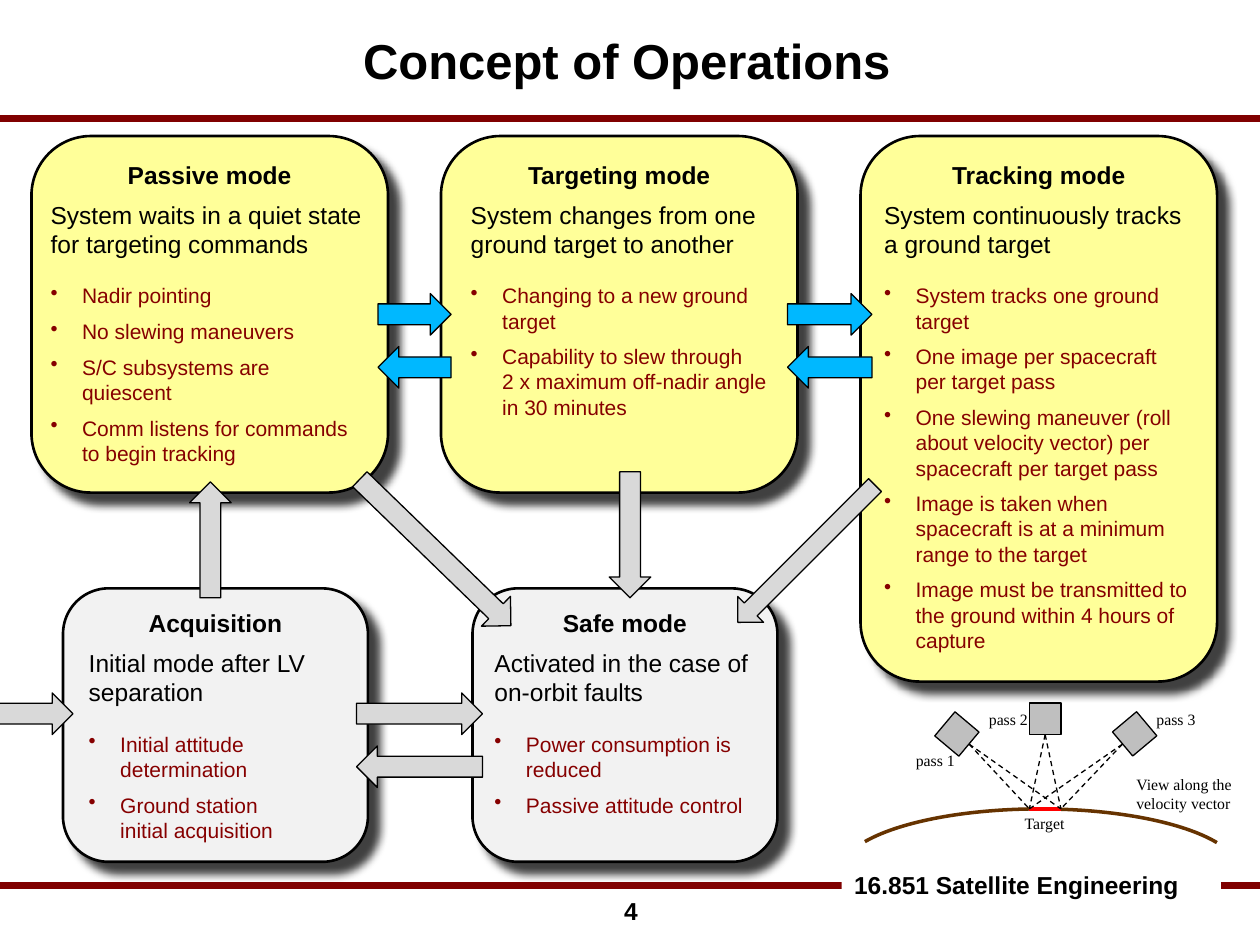
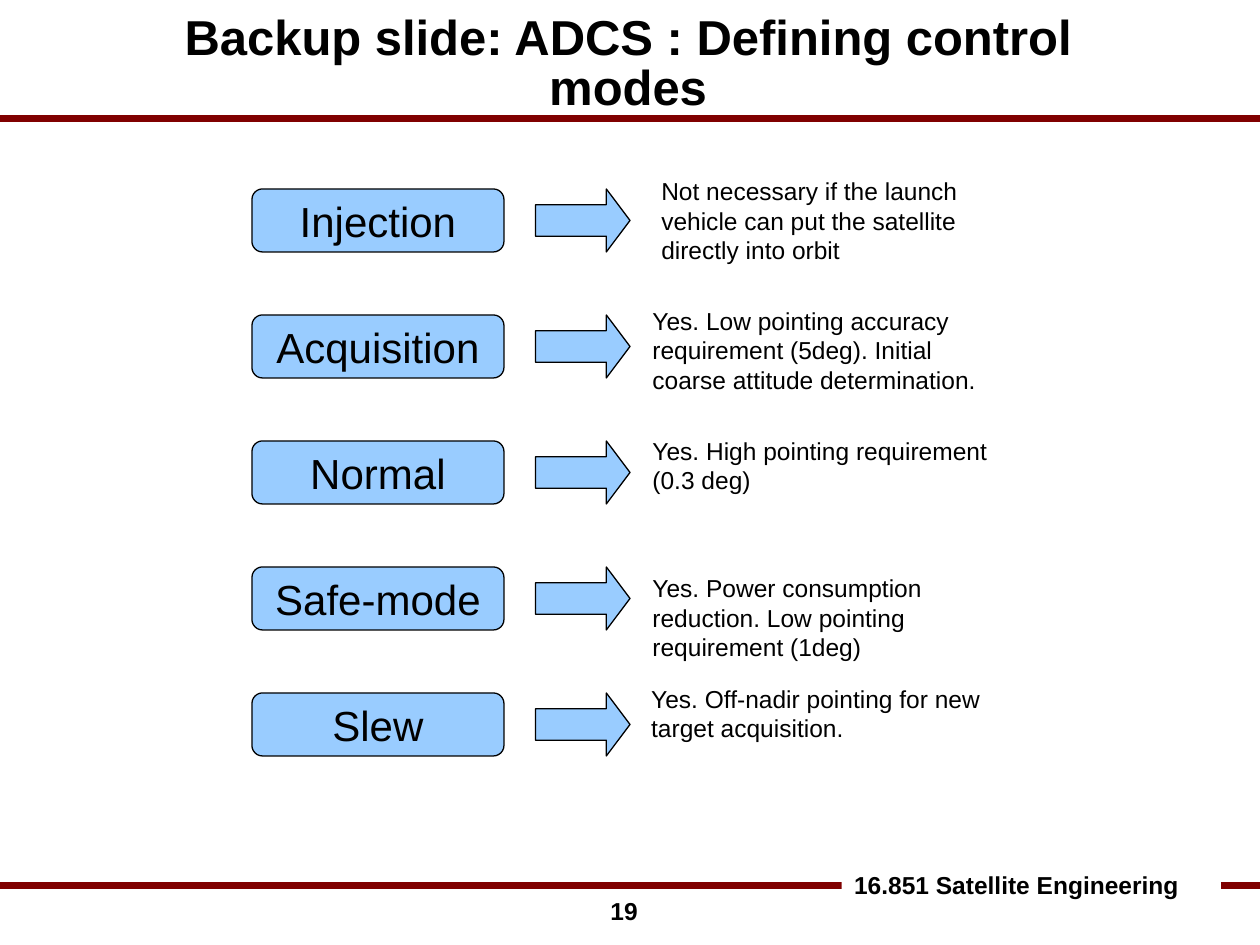
from copy import deepcopy
from dataclasses import dataclass
from math import cos, radians, sin

from lxml.etree import SubElement
from pptx import Presentation
from pptx.dml.color import RGBColor
from pptx.enum.dml import MSO_LINE
from pptx.enum.shapes import MSO_CONNECTOR, MSO_SHAPE as SHAPE
from pptx.enum.text import MSO_ANCHOR as ANCHOR, MSO_AUTO_SIZE, PP_ALIGN as ALIGN
from pptx.oxml.ns import qn
from pptx.util import Inches, Pt


@dataclass(frozen=True)
class Theme:
    """Colours, fonts and type sizes of the deck."""
    ink: str = "000000"
    paper: str = "FFFFFF"
    rule: str = "800000"
    bullet: str = "860000"
    operating: str = "FFFF99"
    support: str = "F2F2F2"
    exchange: str = "00B8FF"
    transition: str = "D9D9D9"
    control: str = "99CCFF"
    satellite: str = "BFBFBF"
    earth: str = "663300"
    target: str = "FF0000"
    sans: str = "Arial"
    serif: str = "Times New Roman"
    title_size: float = 28
    control_size: float = 24
    text_size: float = 14
    bullet_size: float = 12
    label_size: float = 9


THEME = Theme()
TITLE_FORMAT = {"vertical_anchor": ANCHOR.MIDDLE, "word_wrap": True,
                "auto_size": MSO_AUTO_SIZE.NONE, "margin_left": 0,
                "margin_right": 0, "margin_top": 0, "margin_bottom": 0}
HEADING = {"alignment": ALIGN.CENTER, "space_after": Pt(6)}
SUMMARY = {"alignment": ALIGN.LEFT, "space_after": Pt(14)}
BULLET = {"alignment": ALIGN.LEFT, "space_after": Pt(6)}

MODE_CARDS = [
    ((6.83, 1.08, 2.83, 4.33), THEME.operating, "Tracking mode",
     "System continuously tracks \na ground target",
     ["System tracks one ground \ntarget",
      "One image per spacecraft \nper target pass",
      "One slewing maneuver (roll \nabout velocity vector) per \nspacecraft per target pass",
      "Image is taken when \nspacecraft is at a minimum \nrange to the target",
      "Image must be transmitted to \nthe ground within 4 hours of\ncapture"]),
    ((0.25, 1.08, 2.83, 2.83), THEME.operating, "Passive mode",
     "System waits in a quiet state \nfor targeting commands",
     ["Nadir pointing", "No slewing maneuvers",
      "S/C subsystems are \nquiescent",
      "Comm listens for commands \nto begin tracking"]),
    ((3.5, 1.08, 2.83, 2.83), THEME.operating, "Targeting mode",
     "System changes from one \nground target to another",
     ["Changing to a new ground\ntarget",
      "Capability to slew through \n2 x maximum off-nadir angle\nin 30 minutes"]),
    ((3.75, 4.67, 2.42, 2.17), THEME.support, "Safe mode",
     "Activated in the case of \non-orbit faults",
     ["Power consumption is \nreduced", "Passive attitude control"]),
    ((0.5, 4.67, 2.42, 2.17), THEME.support, "Acquisition",
     "Initial mode after LV \nseparation",
     ["Initial attitude \ndetermination", "Ground station\ninitial acquisition"]),
]
MODE_CHANGES = [
    ((3, 2.33, 0.58, 0.33), 0, THEME.exchange),
    ((3, 2.75, 0.58, 0.33), 180, THEME.exchange),
    ((6.25, 2.33, 0.67, 0.33), 0, THEME.exchange),
    ((6.25, 2.75, 0.67, 0.33), 180, THEME.exchange),
    ((1.21, 4.12, 0.92, 0.33), 270, THEME.transition),
    ((2.62, 4.22, 1.67, 0.33), 44.1, THEME.transition),
    ((4.5, 4.08, 1, 0.33), 90, THEME.transition),
    ((5.63, 4.25, 1.54, 0.29), 135, THEME.transition),
    ((-0.42, 5.5, 1, 0.33), 0, THEME.transition),
    ((2.83, 5.5, 1, 0.33), 0, THEME.transition),
    ((2.83, 5.92, 1, 0.33), 180, THEME.transition),
]
CONTROL_MODES = [
    ("Injection", 3.15, -0.15,
     "Not necessary if the launch vehicle can put the satellite directly into orbit"),
    ("Acquisition", 3.08, -0.12,
     "Yes. Low pointing accuracy requirement (5deg). Initial coarse attitude determination."),
    ("Normal", 3.08, -0.09, "Yes. High pointing requirement (0.3 deg)"),
    ("Safe-mode", 3.08, 0,
     "Yes. Power consumption reduction. Low pointing requirement (1deg)"),
    ("Slew", 3.07, -0.12, "Yes. Off-nadir pointing for new target acquisition."),
]


def rgb(code):
    """Turn a theme colour into an RGBColor."""
    return RGBColor.from_string(code)


def inches(box):
    """Convert a sequence of numbers to lengths."""
    return [Inches(value) for value in box]


def assign(target, values):
    """Set every attribute named in a dict of format values."""
    for name, value in values.items():
        setattr(target, name, value)


def write(paragraph, text, size=THEME.text_size, color=THEME.ink, bold=False,
          font=THEME.sans, **layout):
    """Fill a paragraph with formatted text, line breaks included."""
    paragraph.text = text
    assign(paragraph, layout)
    for run in paragraph.runs:
        assign(run.font, {"size": Pt(size), "bold": bold, "name": font})
        run.font.color.rgb = rgb(color)
    for line_break in paragraph._p.findall(qn("a:br")):
        line_break.insert(0, deepcopy(paragraph.runs[0]._r.rPr))


def add_bullet(paragraph):
    """Give a paragraph a hanging round bullet."""
    properties = paragraph._p.get_or_add_pPr()
    properties.set("marL", str(Inches(0.25)))
    properties.set("indent", str(Inches(-0.25)))
    SubElement(properties, qn("a:buChar"), char="•")


def add_figure(slide, kind, box, fill, line=THEME.ink, width=0.75, rotation=0):
    """Add a filled preset shape without shadow."""
    figure = slide.shapes.add_shape(kind, *inches(box))
    figure.shadow.inherit = False
    figure.rotation = rotation
    figure.fill.solid()
    figure.fill.fore_color.rgb = rgb(fill)
    if line:
        figure.line.color.rgb = rgb(line)
        figure.line.width = Pt(width)
    else:
        figure.line.fill.background()
    return figure


def add_line(slide, start, end, color=THEME.ink, width=0.75, dash=None):
    """Add a straight line without shadow."""
    line = slide.shapes.add_connector(MSO_CONNECTOR.STRAIGHT, *inches(start + end))
    line.line.color.rgb = rgb(color)
    assign(line.line, {"width": Pt(width), "dash_style": dash})
    SubElement(line._element.spPr, qn("a:effectLst"))
    return line


def add_label(slide, box, text, **style):
    """Add a wrapping text box."""
    frame = slide.shapes.add_textbox(*inches(box)).text_frame
    frame.word_wrap = True
    write(frame.paragraphs[0], text, **style)


def cast_shadow(figure):
    """Give a shape a soft shadow to the lower right."""
    effects = figure._element.spPr.find(qn("a:effectLst"))
    shadow = SubElement(effects, qn("a:outerShdw"), blurRad=str(Pt(5)),
                        dist=str(Pt(8.5)), dir="2700000", algn="tl", rotWithShape="0")
    color = SubElement(shadow, qn("a:srgbClr"), val=THEME.ink)
    SubElement(color, qn("a:alpha"), val="75000")


def add_frame(slide, layout):
    """Draw the rules and course name and move them to the layout."""
    parts = [add_line(slide, start, end, THEME.rule, 4) for start, end in (
        ((0, 0.94), (10, 0.94)), ((9.69, 7.03), (10, 7.03)), ((0, 7.03), (7.17, 7.03)))]
    course = add_figure(slide, SHAPE.RECTANGLE, (6.68, 6.86, 2.78, 0.34), THEME.paper, None)
    assign(course.text_frame, {"word_wrap": False, "vertical_anchor": ANCHOR.TOP})
    write(course.text_frame.paragraphs[0], "16.851 Satellite Engineering",
          bold=True, alignment=ALIGN.LEFT)
    for part in parts + [course]:
        layout.element.cSld.spTree.append(part.element)


def add_heading(slide, box, text, number):
    """Place the slide title and the page number."""
    title = slide.shapes.title
    assign(title, dict(zip(("left", "top", "width", "height"), inches(box))))
    assign(title.text_frame, TITLE_FORMAT)
    write(title.text_frame.paragraphs[0], text, THEME.title_size, bold=True,
          alignment=ALIGN.CENTER, line_spacing=Pt(28.9))
    add_label(slide, (3.83, 7.08, 1.33, 0.4), number, bold=True,
              alignment=ALIGN.RIGHT, line_spacing=0.93)


def add_mode_card(slide, box, fill, name, summary, points):
    """Draw one operating mode with its summary and bullets."""
    card = add_figure(slide, SHAPE.FLOWCHART_ALTERNATE_PROCESS, box, fill, width=1.5)
    cast_shadow(card)
    frame = card.text_frame
    assign(frame, {"word_wrap": False, "vertical_anchor": ANCHOR.TOP})
    write(frame.paragraphs[0], name, bold=True, **HEADING)
    write(frame.add_paragraph(), summary, **SUMMARY)
    for point in points:
        paragraph = frame.add_paragraph()
        write(paragraph, point, THEME.bullet_size, THEME.bullet, **BULLET)
        add_bullet(paragraph)


def add_pass_sketch(slide, left, top):
    """Sketch three passes viewing one ground target."""
    horizon = add_figure(slide, SHAPE.ARC, (left, top + 0.84, 3.17, 1),
                         THEME.paper, THEME.earth, 2)
    for index, degrees in enumerate((189.8, 350.6)):
        horizon.adjustments[index] = degrees * 0.6
    side = 0.25
    target = [(left + 1.5, top + 0.84), (left + 1.75, top + 0.84)]
    add_line(slide, *target, THEME.target, 2)
    for x, y, rotation in ((0.8, 0.12, 310), (1.5, 0, 0), (2.21, 0.12, 50)):
        satellite = add_figure(slide, SHAPE.RECTANGLE, (left + x, top + y, side, side),
                               THEME.satellite, rotation=rotation)
        angle = radians(rotation)
        lens = (left + x + side / 2 * (1 - sin(angle)),
                top + y + side / 2 * (1 + cos(angle)))
        for edge in target:
            sight = add_line(slide, lens, edge, dash=MSO_LINE.DASH)
            sight.begin_connect(satellite, 2)
            assign(sight, dict(zip(("begin_x", "begin_y"), inches(lens))))
    for x, y, width, text, alignment in (
            (2.25, 0.52, 1.08, "View along the velocity vector", ALIGN.LEFT),
            (1.33, 0.83, 0.58, "Target", ALIGN.CENTER),
            (0.5, 0.33, 0.58, "pass 1", ALIGN.LEFT),
            (1.08, 0, 0.58, "pass 2", ALIGN.LEFT),
            (2.41, 0, 0.58, "pass 3", ALIGN.LEFT)):
        add_label(slide, (left + x, top + y, width, 0.25), text,
                  size=THEME.label_size, font=THEME.serif, alignment=alignment)


def add_control_row(slide, left, top, name, note_x, note_y, note):
    """Draw one control mode, its arrow and its requirement."""
    mode = add_figure(slide, SHAPE.ROUNDED_RECTANGLE, (left, top, 2, 0.5), THEME.control)
    assign(mode.text_frame, {"word_wrap": False, "vertical_anchor": ANCHOR.MIDDLE})
    write(mode.text_frame.paragraphs[0], name, THEME.control_size, alignment=ALIGN.CENTER)
    arrow = add_figure(slide, SHAPE.RIGHT_ARROW, (left + 2.25, top, 0.75, 0.5), THEME.control)
    arrow.adjustments[1] = 0.375
    add_label(slide, (left + note_x, top + note_y, 3, 0.8), note)


def build_operations(slide):
    """Build the concept of operations slide."""
    add_heading(slide, (1.11, 0.1, 7.73, 0.82), "Concept of Operations", "4")
    for card in MODE_CARDS:
        add_mode_card(slide, *card)
    for box, rotation, color in MODE_CHANGES:
        add_figure(slide, SHAPE.RIGHT_ARROW, box, color, rotation=rotation)
    add_pass_sketch(slide, 6.67, 5.58)


def build_control_modes(slide):
    """Build the control modes backup slide."""
    add_heading(slide, (1.11, 0.05, 7.75, 0.93),
                "Backup slide: ADCS : Defining control modes", "19")
    for row, mode in enumerate(CONTROL_MODES):
        add_control_row(slide, 2, 1.5 + row, *mode)


def main():
    """Build and save the deck."""
    deck = Presentation()
    deck.slide_width, deck.slide_height = inches((10, 7.5))
    layout = deck.slide_layouts[5]
    operations, control_modes = [deck.slides.add_slide(layout) for _ in range(2)]
    add_frame(operations, layout)
    build_operations(operations)
    build_control_modes(control_modes)
    deck.save("out.pptx")


if __name__ == "__main__":
    main()
